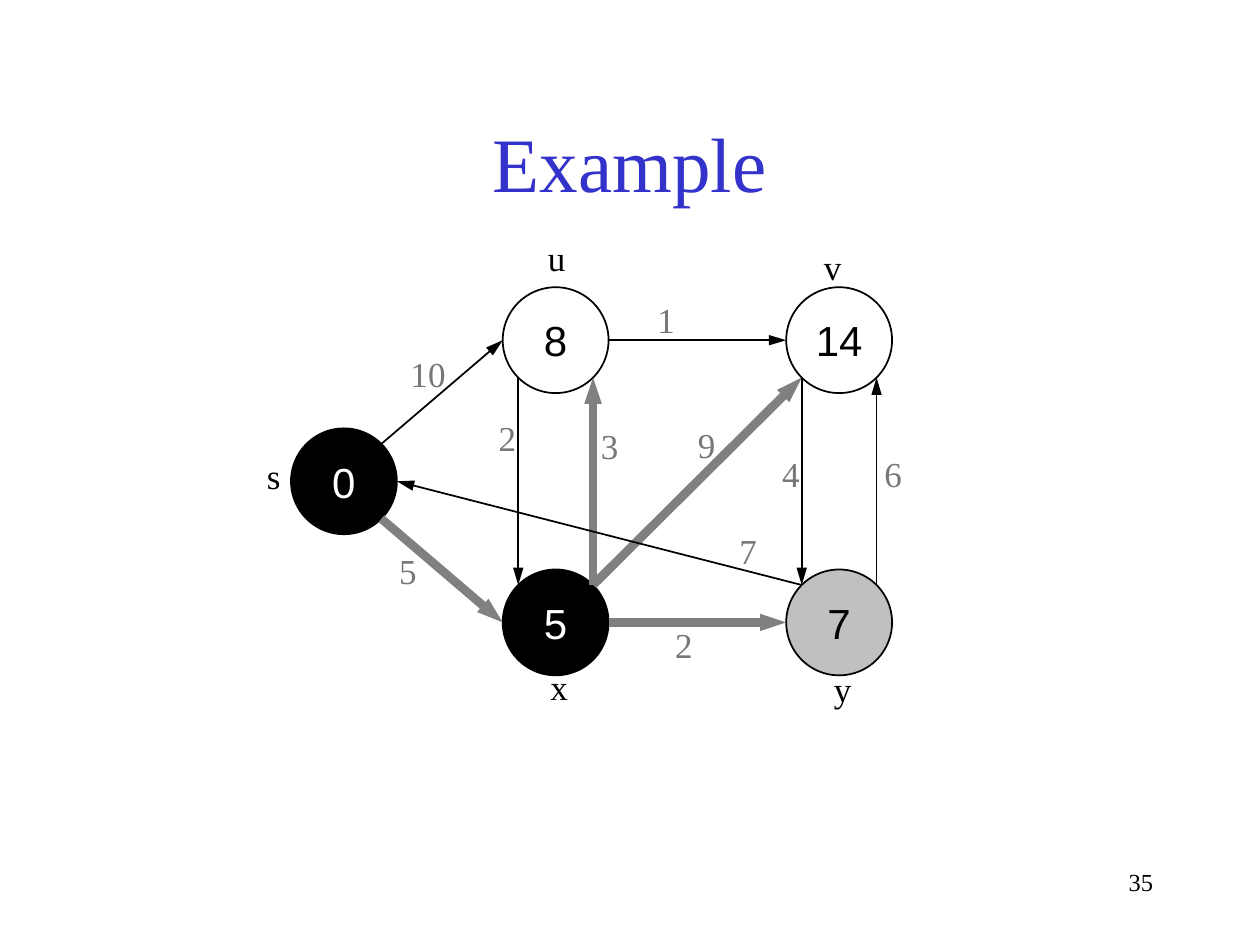
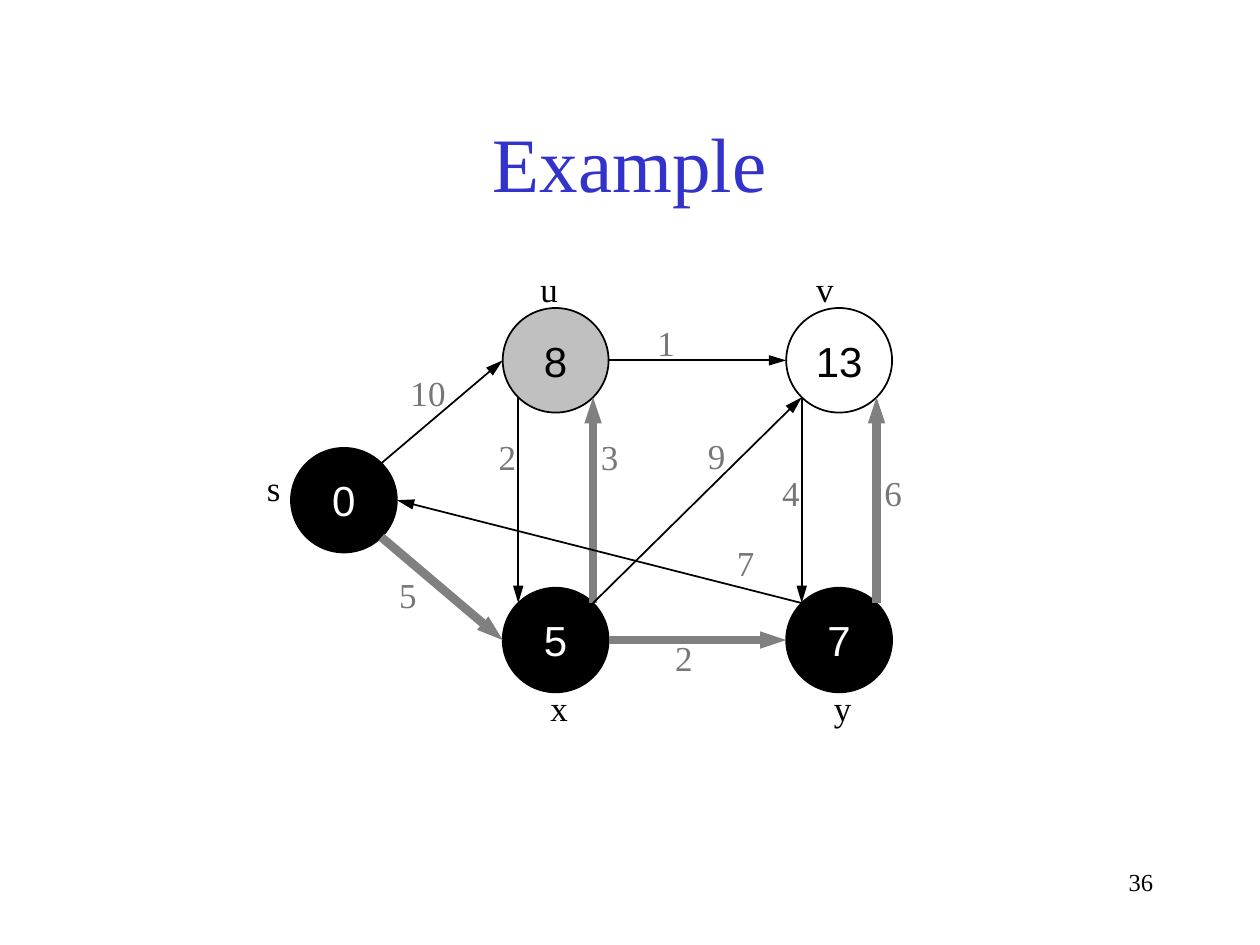
from dataclasses import dataclass
from math import sqrt

from pptx import Presentation
from pptx.dml.color import RGBColor as RGB
from pptx.enum.shapes import MSO_CONNECTOR as LINK, MSO_SHAPE as SHAPE
from pptx.enum.text import MSO_ANCHOR as ANCHOR, MSO_AUTO_SIZE as AUTO, PP_ALIGN as ALIGN
from pptx.oxml.ns import qn
from pptx.util import Inches, Pt


@dataclass(frozen=True)
class Theme:
    serif: str = "Times New Roman"
    sans: str = "Arial"
    blue: RGB = RGB(0x33, 0x33, 0xCC)
    black: RGB = RGB(0, 0, 0)
    white: RGB = RGB(255, 255, 255)
    silver: RGB = RGB(0xC0, 0xC0, 0xC0)
    grey: RGB = RGB(0x80, 0x80, 0x80)
    dim: RGB = RGB(0x77, 0x77, 0x77)
    title: int = 44
    node: int = 24
    label: int = 20
    page: int = 14
    thin: int = 1
    thick: int = 5


T = Theme()


def write(shape, text, size, color, font=T.serif, align=ALIGN.LEFT):
    para = shape.text_frame.paragraphs[0]
    para.alignment = align
    run = para.add_run()
    run.text = text
    run.font.size = Pt(size)
    run.font.name = font
    run.font.color.rgb = color


def add_text(slide, spot, text, size, color, align=ALIGN.LEFT):
    box = slide.shapes.add_textbox(*map(Inches, spot))
    box.text_frame.word_wrap = True
    write(box, text, size, color, align=align)
    return box


# Node centres: x in inches, y as a row of the grid
WIDE = 0.84
SPOTS = {"u": (4.41, 0), "v": (6.66, 0), "x": (4.41, 2), "y": (6.66, 2), "s": (2.73, 1)}

# Points on a node's rim, in units of its radius
D = sqrt(0.5)
RIM = {"W": (-1, 0), "E": (1, 0), "NW": (-D, -D), "NE": (D, -D), "SW": (-D, D), "SE": (D, D)}

# Tail, its rim point, head, its rim point, weight, width of the weight's box
EDGES = [
    ("x", "NE", "u", "SE", "3", 0.56),
    ("u", "SW", "x", "NW", "2", 0.56),
    ("u", "E", "v", "W", "1", 0.84),
    ("x", "NE", "v", "SW", "9", 0.56),
    ("v", "SW", "y", "NW", "4", 0.56),
    ("y", "NE", "v", "SE", "6", 0.56),
    ("x", "E", "y", "W", "2", 0.56),
    ("y", "NW", "s", "E", "7", 0.56),
    ("s", "SE", "x", "W", "5", 0.84),
    ("s", "NE", "u", "W", "10", 0.84),
]

# Each step: row geometry, distances, done and next nodes, tree edges, label places
STEPS = [
    dict(
        page="35", top=2.7, row=1.12, tall=0.84,
        dist=dict(u="8", v="14", x="5", y="7", s="0"),
        done="sx", next="y", tree=("xu", "xv", "xy", "sx"),
        names=dict(s=(2.02, 3.56), y=(6.52, 5.25), x=(4.27, 5.23), u=(4.25, 1.83), v=(6.44, 1.9)),
        costs=dict(xu=(4.67, 3.32), ux=(3.86, 3.26), uv=(5.12, 2.32), xv=(5.44, 3.31),
                   vy=(6.11, 3.54), yv=(6.92, 3.54), xy=(5.26, 4.9), ys=(5.77, 4.15),
                   sx=(3.07, 4.31), su=(3.16, 2.75)),
    ),
    dict(
        page="36", top=2.86, row=1.11, tall=0.83,
        dist=dict(u="8", v="13", x="5", y="7", s="0"),
        done="sxy", next="u", tree=("xu", "yv", "xy", "sx"),
        names=dict(s=(2.02, 3.65), y=(6.52, 5.4), x=(4.27, 5.4), u=(4.19, 2.07), v=(6.38, 2.07)),
        costs=dict(xu=(4.67, 3.41), ux=(3.86, 3.41), uv=(5.12, 2.5), xv=(5.52, 3.4),
                   vy=(6.11, 3.69), yv=(6.92, 3.69), xy=(5.26, 5), ys=(5.75, 4.25),
                   sx=(3.07, 4.5), su=(3.16, 2.9)),
    ),
]

deck = Presentation()
deck.slide_width, deck.slide_height = Inches(10), Inches(7.5)

for step in STEPS:
    slide = deck.slides.add_slide(deck.slide_layouts[6])
    add_text(slide, (7.17, 6.83, 2.08, 0.5), step["page"], T.page, T.black, ALIGN.RIGHT)
    title = add_text(slide, (0.75, 0.66, 8.5, 1.25), "Example", T.title, T.blue, ALIGN.CENTER)
    title.text_frame.vertical_anchor = ANCHOR.MIDDLE

    tall = step["tall"]
    mid = {name: (x, step["top"] + row * step["row"]) for name, (x, row) in SPOTS.items()}

    for name, (x, y) in mid.items():
        node = slide.shapes.add_shape(
            SHAPE.OVAL, Inches(x - WIDE / 2), Inches(y - tall / 2), Inches(WIDE), Inches(tall))
        node.shadow.inherit = False
        node.line.color.rgb = T.black
        node.line.width = Pt(T.thin)
        ink = T.black
        if name in step["done"]:
            node.fill.solid()
            node.fill.fore_color.rgb = T.black
            ink = T.white
        elif name in step["next"]:
            node.fill.solid()
            node.fill.fore_color.rgb = T.silver
        else:
            node.fill.background()
        node.text_frame.word_wrap = False
        node.text_frame.vertical_anchor = ANCHOR.MIDDLE
        write(node, step["dist"][name], T.node, ink, T.sans, ALIGN.CENTER)

    for tail, start, head, end, cost, span in EDGES:
        ends = []
        for name, side in ((tail, start), (head, end)):
            (x, y), (dx, dy) = mid[name], RIM[side]
            ends += [Inches(x + dx * WIDE / 2), Inches(y + dy * tall / 2)]
        edge = slide.shapes.add_connector(LINK.STRAIGHT, *ends)
        bold = tail + head in step["tree"]
        edge.line.color.rgb = T.grey if bold else T.black
        edge.line.width = Pt(T.thick if bold else T.thin)
        tip = {"w": "sm", "len": "med"} if bold else {"w": "med", "len": "lg"}
        line = edge.line._get_or_add_ln()
        line.append(line.makeelement(qn("a:tailEnd"), {"type": "triangle", **tip}))
        props = edge._element.spPr
        props.append(props.makeelement(qn("a:effectLst"), {}))

    tags = [(name, spot, 0.56, T.black) for name, spot in step["names"].items()]
    tags += [(cost, step["costs"][tail + head], span, T.dim)
             for tail, _, head, _, cost, span in EDGES]
    for text, spot, span, ink in tags:
        tag = add_text(slide, (*spot, span, 0.44), text, T.label, ink)
        tag.text_frame.auto_size = AUTO.SHAPE_TO_FIT_TEXT

deck.save("out.pptx")
